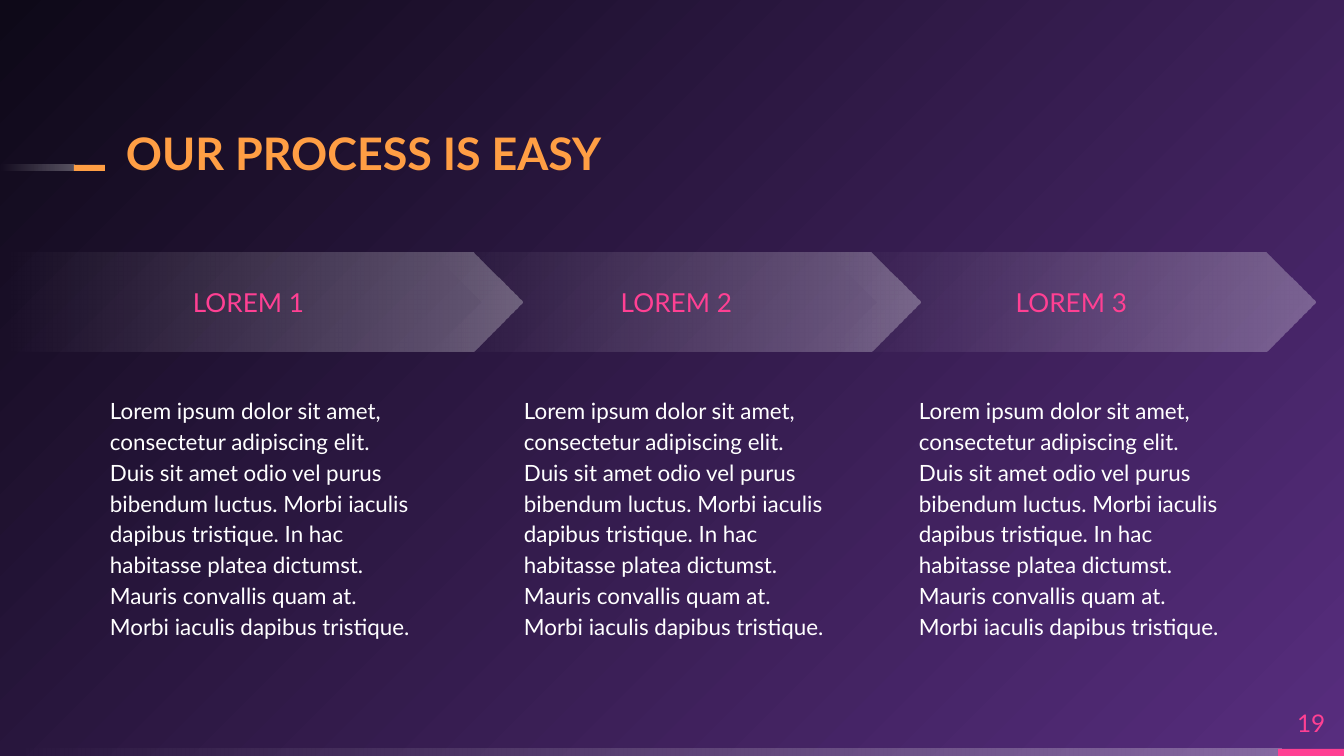
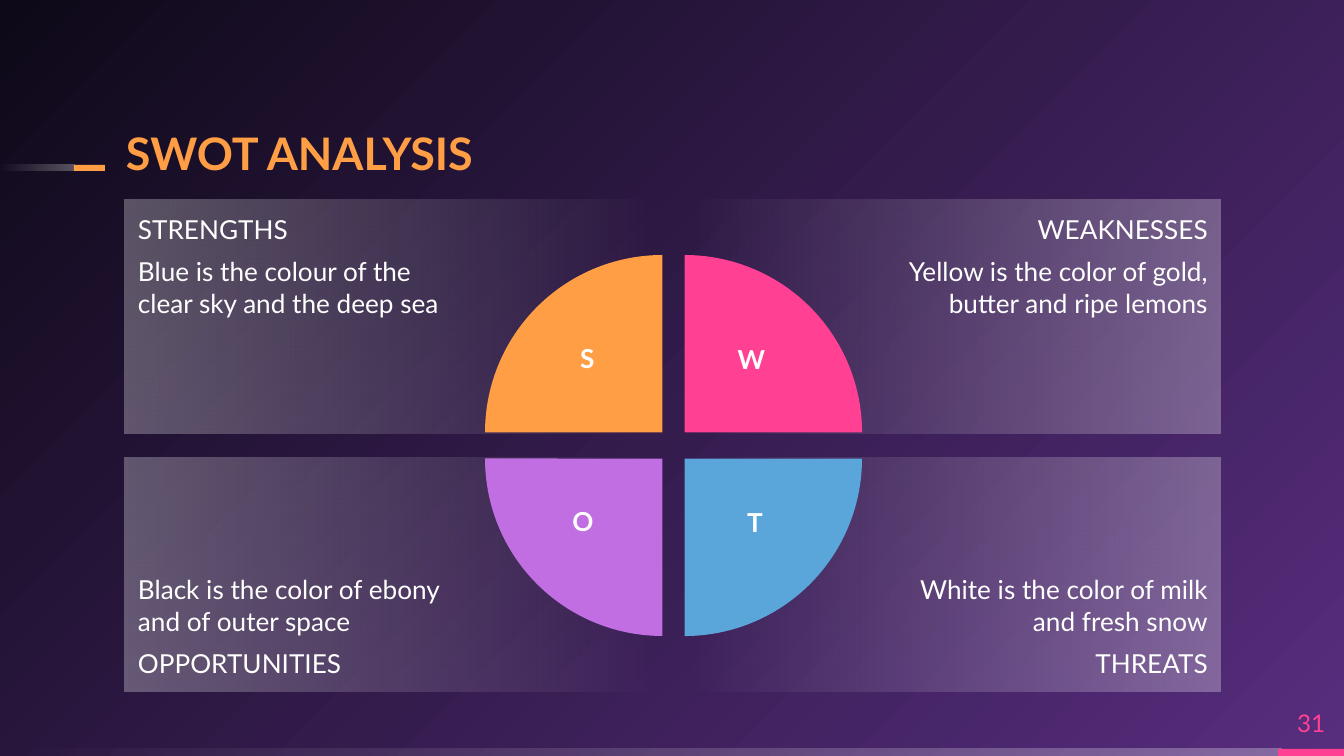
from lxml.etree import SubElement
from pptx import Presentation
from pptx.dml.color import RGBColor
from pptx.enum.shapes import MSO_SHAPE as Preset
from pptx.enum.text import MSO_ANCHOR as Anchor, MSO_AUTO_SIZE as AutoSize, PP_ALIGN as Align
from pptx.oxml.ns import qn
from pptx.util import Emu, Pt

WIDTH, HEIGHT = 1344, 756
PX = 9144000 / WIDTH
FONT = "Lato"
COLORS = {
    "dark": "0E0918",
    "violet": "572D7E",
    "orange": "FF9E44",
    "pink": "FF4093",
    "blue": "5AA5DA",
    "purple": "C06EE2",
    "white": "FFFFFF",
}
FADE_LEFT, FADE_RIGHT = 180, 0
INSET = 13


def place(slide, preset, box, fill=None):
    """Add a preset, or a text box if preset is None; fill is a colour name or a fade angle."""
    bounds = [Emu(round(length * PX)) for length in box]
    if preset is None:
        return slide.shapes.add_textbox(*bounds)
    shape = slide.shapes.add_shape(preset, *bounds)
    shape.shadow.inherit = False
    shape.line.fill.background()
    if fill in COLORS:
        shape.fill.solid()
        shape.fill.fore_color.rgb = RGBColor.from_string(COLORS[fill])
        return shape
    shape.fill.gradient()
    shape.fill.gradient_angle = fill
    for stop in shape.fill.gradient_stops:
        stop.color.rgb = RGBColor.from_string(COLORS["white"])
    for color, alpha in zip(shape.element.iter(qn("a:srgbClr")), (29000, 0)):
        SubElement(color, qn("a:alpha"), val=str(alpha))
    return shape


def write(shape, texts, size, color, bold=False, align=Align.LEFT, anchor=Anchor.TOP,
          insets=(INSET,) * 4, line_spacing=1.0):
    frame = shape.text_frame
    frame.word_wrap = True
    frame.auto_size = AutoSize.NONE
    frame.vertical_anchor = anchor
    (frame.margin_left, frame.margin_top,
     frame.margin_right, frame.margin_bottom) = [Emu(round(inset * PX)) for inset in insets]
    for index, text in enumerate(texts):
        paragraph = frame.add_paragraph() if index else frame.paragraphs[0]
        paragraph.alignment = align
        paragraph.line_spacing = line_spacing
        paragraph.space_before = Pt(6 if index else 0)
        paragraph.space_after = Pt(6 if index else 0)
        run = paragraph.add_run()
        run.text = text
        run.font.name = FONT
        run.font.size = Pt(size)
        run.font.bold = bold
        run.font.color.rgb = RGBColor.from_string(COLORS[color])


prs = Presentation()
prs.slide_width = Emu(round(WIDTH * PX))
prs.slide_height = Emu(round(HEIGHT * PX))
layout = prs.slide_layouts.get_by_name("Title Only")

# Shared background: a glow from the bottom right corner
backdrop = layout.background.fill
backdrop.gradient()
for stop, name in zip(backdrop.gradient_stops, ("violet", "dark")):
    stop.color.rgb = RGBColor.from_string(COLORS[name])
gradient = layout.element.find(".//" + qn("a:gradFill"))
gradient.remove(gradient.find(qn("a:lin")))
glow = SubElement(gradient, qn("a:path"), path="circle")
SubElement(glow, qn("a:fillToRect"), l="100000", t="100000")

# Shared title position
title_area = layout.placeholders[0]
title_area.left, title_area.top, title_area.width, title_area.height = [
    Emu(round(length * PX)) for length in (126, 122, 780, 58)]

process, swot = [prs.slides.add_slide(layout) for _ in range(2)]

# Shared footer band and title dash, moved to the layout
for box, fill in (
    ((0, 749, 1282, 7), FADE_LEFT),
    ((1278, 749, 66, 7), "pink"),
    ((0, 165, 75, 6), FADE_LEFT),
    ((74, 165, 31, 6), "orange"),
):
    band = place(process, Preset.RECTANGLE, box, fill)
    layout.shapes.element.append(band.element)

for slide, title, number in (
    (process, "OUR PROCESS IS EASY", "19"),
    (swot, "SWOT ANALYSIS", "31"),
):
    write(slide.shapes.title, [title], 24, "orange", bold=True,
          anchor=Anchor.BOTTOM, insets=(0,) * 4, line_spacing=0.9)
    write(place(slide, None, (1278, 697, 66, 51)), [number], 13, "pink",
          align=Align.CENTER, anchor=Anchor.MIDDLE, insets=(0,) * 4)

# Process steps
STEP_TEXT = (
    "Lorem ipsum dolor sit amet, consectetur adipiscing elit. Duis sit amet odio vel purus "
    "bibendum luctus. Morbi iaculis dapibus tristique. In hac habitasse platea dictumst. "
    "Mauris convallis quam at. Morbi iaculis dapibus tristique."
)
for label, preset, left, width, text_left in (
    ("LOREM 1", Preset.PENTAGON, 0, 522, 97),
    ("LOREM 2", Preset.CHEVRON, 433, 487, 511),
    ("LOREM 3", Preset.CHEVRON, 828, 487, 906),
):
    step = place(process, preset, (left, 253, width, 99), FADE_LEFT)
    step.adjustments[0] = 0.5
    write(step, [label], 14, "pink", align=Align.CENTER, anchor=Anchor.MIDDLE)
    write(place(process, None, (text_left, 380, 329, 265)), [STEP_TEXT], 12, "white",
          line_spacing=1.15)

# SWOT panels
for index, texts in enumerate((
    ["STRENGTHS", "Blue is the colour of the clear sky and the deep sea"],
    ["WEAKNESSES", "Yellow is the color of gold, butter and ripe lemons"],
    ["Black is the color of ebony and of outer space", "OPPORTUNITIES"],
    ["White is the color of milk and fresh snow", "THREATS"],
)):
    row, column = divmod(index, 2)
    panel = place(swot, Preset.RECTANGLE, (125 + 560 * column, 200 + 258 * row, 536, 234),
                  FADE_LEFT if column else FADE_RIGHT)
    write(panel, texts, 14, "white",
          align=Align.RIGHT if column else Align.LEFT,
          anchor=Anchor.BOTTOM if row else Anchor.TOP,
          insets=(202, INSET, INSET, INSET) if column else (INSET, INSET, 202, INSET))

# SWOT quarters, clockwise from the top left
for turn, (color, left, top) in enumerate((
    ("orange", 485, 255),
    ("pink", 507, 255),
    ("blue", 507, 281),
    ("purple", 485, 281),
)):
    quarter = place(swot, Preset.PIE, (left, top, 355, 355), color)
    quarter.adjustments[0] = 108
    quarter.adjustments[1] = 162
    quarter.rotation = 90 * turn

for letter, box in (
    ("S", (564, 329, 47, 65)),
    ("W", (714, 330, 75, 63)),
    ("O", (559, 492, 48, 66)),
    ("T", (731, 493, 48, 63)),
):
    write(place(swot, None, box), [letter], 14, "white", bold=True, align=Align.CENTER,
          insets=(0, INSET, 0, INSET))

prs.save("out.pptx")
